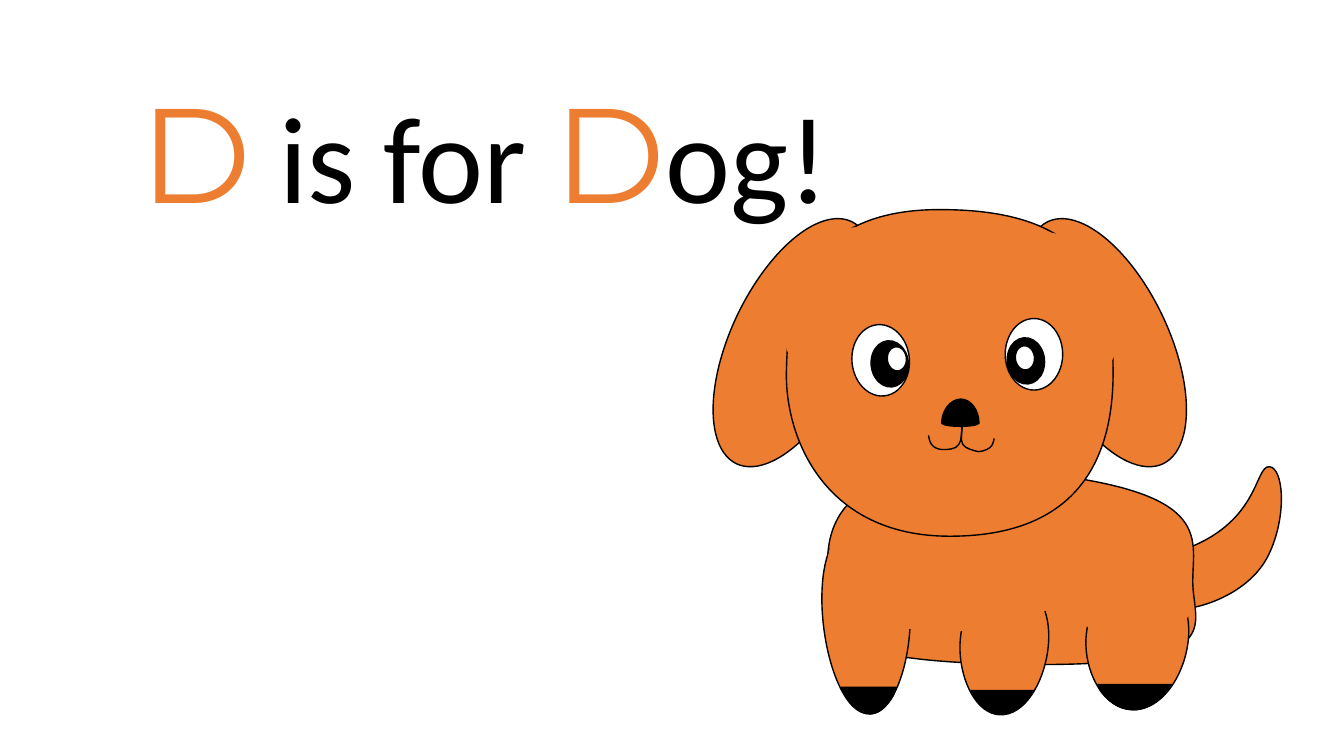
from dataclasses import dataclass

from lxml.etree import SubElement
from pptx import Presentation
from pptx.dml.color import RGBColor
from pptx.enum.shapes import MSO_SHAPE
from pptx.enum.text import MSO_ANCHOR, MSO_AUTO_SIZE, PP_ALIGN
from pptx.oxml.ns import qn
from pptx.util import Inches, Pt


@dataclass(frozen=True)
class Theme:
    orange: str = "ED7D31"
    black: str = "000000"
    white: str = "FFFFFF"
    letter_font: str = "Montserrat"
    word_font: str = "Calibri"
    letter_size: int = 96
    word_size: int = 88
    line_width: float = 1
    letter_outline: float = 0.75


THEME = Theme()
CURVE_STEPS = 24

TAIL = [(11.72, 5.46), (12.5, 5.19, 12.44, 4.62, 12.59, 4.63),
        (12.73, 4.64, 12.77, 5.12, 12.58, 5.51),
        (12.38, 5.91, 11.87, 6.04, 11.73, 6.04),
        (11.58, 6.03, 10.94, 5.74, 11.72, 5.46)]
BODY = [(8.21, 5.77), (8.21, 5.45, 8.05, 4.5, 10.06, 4.67),
        (12.06, 4.85, 11.83, 5.31, 11.83, 5.77),
        (11.83, 6.22, 12.24, 6.63, 10.02, 6.59),
        (7.8, 6.55, 8.2, 6.09, 8.21, 5.77)]
BACK_LEG = [(11.28, 7.04), (10.73, 7.1, 10.48, 5.86, 11.28, 5.77),
            (12.08, 5.67, 11.83, 6.98, 11.28, 7.04)]
MIDDLE_LEG = [(9.96, 7.09), (9.49, 7.15, 9.27, 5.91, 9.96, 5.82),
              (10.65, 5.72, 10.44, 7.03, 9.96, 7.09)]
FRONT_LEG = [(8.59, 7.08), (9.06, 7.17, 9.28, 5.36, 8.59, 5.22),
             (7.9, 5.08, 8.12, 7, 8.59, 7.08)]
BELLY_PATCH = [(10.77, 5.64), (10.96, 4.85, 8.53, 4.27, 8.24, 5.42),
               (7.95, 6.57, 10.59, 6.43, 10.77, 5.64)]
HEAD = [(7.8, 3.7), (7.81, 3.04, 7.93, 2.06, 9.36, 2.08),
        (10.8, 2.09, 11.04, 2.8, 11.04, 3.7),
        (11.04, 4.59, 10.66, 5.32, 9.42, 5.32),
        (8.18, 5.32, 7.79, 4.35, 7.8, 3.7)]
LEFT_EAR_PATCH = [(9.18, 3.23), (9.45, 2.41, 8.26, 1.7, 7.85, 2.89),
                  (7.45, 4.08, 8.91, 4.04, 9.18, 3.23)]
RIGHT_EAR_PATCH = [(9.68, 3.27), (9.41, 2.45, 10.61, 1.75, 11.01, 2.94),
                   (11.41, 4.12, 9.95, 4.09, 9.68, 3.27)]
HIP_PATCH = [(11.31, 6.47), (11.91, 6.43, 12.06, 5.48, 11.19, 5.52),
             (10.31, 5.56, 10.71, 6.5, 11.31, 6.47)]
MIDDLE_PAW = [(9.63, 6.85), (10.25, 6.85), (10.19, 6.94),
              (10.13, 7.02, 10.05, 7.07, 9.96, 7.08),
              (9.84, 7.1, 9.74, 7.03, 9.67, 6.92)]
BACK_PAW = [(10.88, 6.79), (11.62, 6.79), (11.55, 6.88),
            (11.47, 6.97, 11.38, 7.03, 11.27, 7.04),
            (11.13, 7.05, 11.01, 6.98, 10.92, 6.86)]
FRONT_PAW = [(8.89, 6.82), (8.34, 6.82), (8.39, 6.91),
             (8.45, 7.01, 8.52, 7.07, 8.6, 7.08),
             (8.7, 7.1, 8.79, 7.02, 8.86, 6.9)]
NOSE = [(9.71, 4.2), (9.71, 4.07, 9.63, 3.96, 9.53, 3.96),
        (9.43, 3.96, 9.34, 4.07, 9.34, 4.2),
        (9.37, 4.24, 9.68, 4.24, 9.71, 4.2)]
MOUTH_RIGHT = [(9.55, 4.2), (9.54, 4.28, 9.52, 4.36, 9.55, 4.41),
               (9.57, 4.45, 9.66, 4.47, 9.7, 4.48),
               (9.75, 4.48, 9.79, 4.46, 9.82, 4.44),
               (9.85, 4.42, 9.86, 4.35, 9.86, 4.35)]
MOUTH_LEFT = [(9.54, 4.21), (9.54, 4.29, 9.54, 4.37, 9.51, 4.41),
              (9.48, 4.46, 9.4, 4.46, 9.35, 4.46),
              (9.31, 4.46, 9.26, 4.44, 9.24, 4.41),
              (9.22, 4.39, 9.21, 4.32, 9.21, 4.32)]


def rgb(color):
    return RGBColor.from_string(color)


def style_shape(shape, fill, line):
    shape.shadow.inherit = False
    if fill:
        shape.fill.solid()
        shape.fill.fore_color.rgb = rgb(fill)
    else:
        shape.fill.background()
    shape.line.color.rgb = rgb(line)
    shape.line.width = Pt(THEME.line_width)


def curve_points(start, curve):
    x1, y1, x2, y2, x3, y3 = curve
    for step in range(1, CURVE_STEPS + 1):
        t = step / CURVE_STEPS
        weights = ((1 - t) ** 3, 3 * t * (1 - t) ** 2, 3 * t * t * (1 - t), t ** 3)
        yield (sum(w * x for w, x in zip(weights, (start[0], x1, x2, x3))),
               sum(w * y for w, y in zip(weights, (start[1], y1, y2, y3))))


def outline_bounds(outline):
    points = [outline[0]]
    for segment in outline[1:]:
        points.extend([segment] if len(segment) == 2 else curve_points(points[-1], segment))
    xs, ys = zip(*points)
    return [Inches(edge) for edge in (min(xs), min(ys), max(xs), max(ys))]


def add_outline(group, outline, fill=THEME.orange, line=THEME.black, close=True):
    left, top, right, bottom = outline_bounds(outline)
    builder = group.shapes.build_freeform(left, top)
    builder.add_line_segments([(right, bottom)], close=False)
    shape = builder.convert_to_shape()
    geometry = next(shape._element.iter(qn("a:path")))
    for command in list(geometry):
        geometry.remove(command)
    for index, segment in enumerate(outline):
        tag = "a:cubicBezTo" if len(segment) == 6 else "a:lnTo" if index else "a:moveTo"
        command = SubElement(geometry, qn(tag))
        for x, y in zip(segment[::2], segment[1::2]):
            SubElement(command, qn("a:pt"), x=str(Inches(x) - left), y=str(Inches(y) - top))
    if close:
        SubElement(geometry, qn("a:close"))
    style_shape(shape, fill, line)


def add_ellipse(group, left, top, width, height, fill, rotation=0):
    box = [Inches(length) for length in (left, top, width, height)]
    ellipse = group.shapes.add_shape(MSO_SHAPE.OVAL, *box)
    ellipse.rotation = rotation
    style_shape(ellipse, fill, THEME.black)


def add_eye(group, white, pupil, glint, rotation):
    tilt = 354.3
    add_ellipse(group, *white, 0.57, 0.71, THEME.white, rotation)
    add_ellipse(group, *pupil, 0.37, 0.46, THEME.black, tilt)
    add_ellipse(group, *glint, 0.19, 0.24, THEME.white, tilt)


def outline_letter(run):
    properties = run.font._element
    line = SubElement(properties, qn("a:ln"), w=str(Pt(THEME.letter_outline)))
    fill = SubElement(line, qn("a:solidFill"))
    SubElement(fill, qn("a:srgbClr"), val=THEME.black)
    properties.insert(0, line)


def add_title(slide):
    title = slide.shapes.title
    title.left, title.top = Inches(0.28), Inches(0.64)
    title.width, title.height = Inches(9.33), Inches(1.72)
    frame = title.text_frame
    frame.word_wrap = True
    frame.auto_size = MSO_AUTO_SIZE.SHAPE_TO_FIT_TEXT
    frame.vertical_anchor = MSO_ANCHOR.TOP
    paragraph = frame.paragraphs[0]
    paragraph.alignment = PP_ALIGN.CENTER
    for text in ("D", " is for ", "D", "og! "):
        run = paragraph.add_run()
        run.text = text
        is_letter = text == "D"
        run.font.name = THEME.letter_font if is_letter else THEME.word_font
        run.font.size = Pt(THEME.letter_size if is_letter else THEME.word_size)
        run.font.color.rgb = rgb(THEME.orange if is_letter else THEME.black)
        if is_letter:
            outline_letter(run)


def add_dog(slide):
    dog = slide.shapes.add_group_shape()
    add_outline(dog, TAIL)
    for left, rotation in ((10.34, 334.6), (7.25, 25.4)):
        add_ellipse(dog, left, 2.07, 1.25, 2.66, THEME.orange, rotation)
    for part in (BODY, BACK_LEG, MIDDLE_LEG, FRONT_LEG):
        add_outline(dog, part)
    add_outline(dog, BELLY_PATCH, line=THEME.orange)
    add_outline(dog, HEAD)
    for patch in (LEFT_EAR_PATCH, RIGHT_EAR_PATCH, HIP_PATCH):
        add_outline(dog, patch, line=THEME.orange)
    for part in (MIDDLE_PAW, BACK_PAW, FRONT_PAW, NOSE):
        add_outline(dog, part, fill=THEME.black)
    add_eye(dog, (9.97, 3.16), (9.99, 3.35), (10.07, 3.43), 0)
    add_eye(dog, (8.45, 3.22), (8.64, 3.38), (8.8, 3.44), 354.3)
    for lip in (MOUTH_RIGHT, MOUTH_LEFT):
        add_outline(dog, lip, fill=None, close=False)


def main():
    presentation = Presentation()
    presentation.slide_width = Inches(13.33)
    presentation.slide_height = Inches(7.5)
    slide = presentation.slides.add_slide(presentation.slide_layouts[5])
    add_title(slide)
    add_dog(slide)
    presentation.save("out.pptx")


if __name__ == "__main__":
    main()
